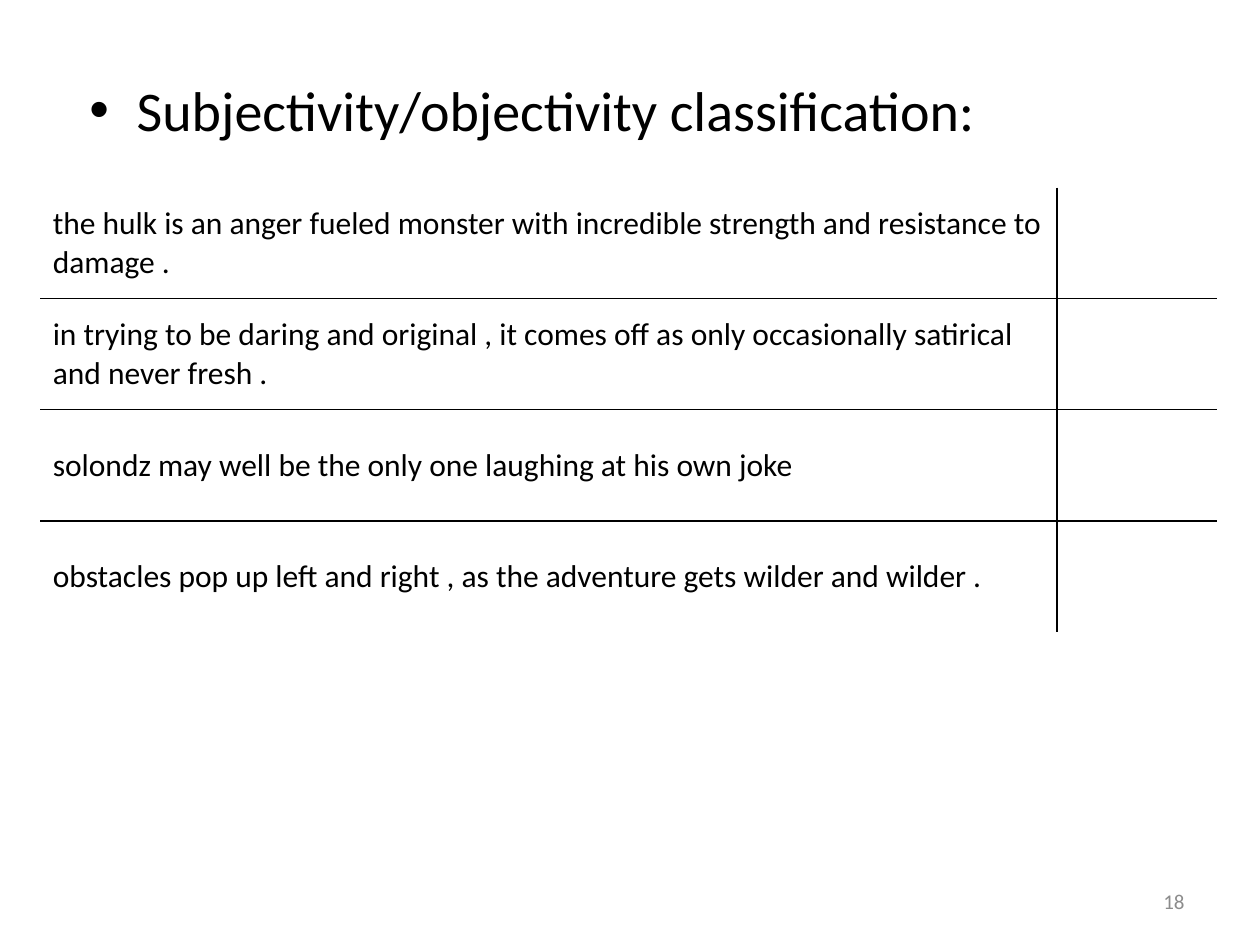
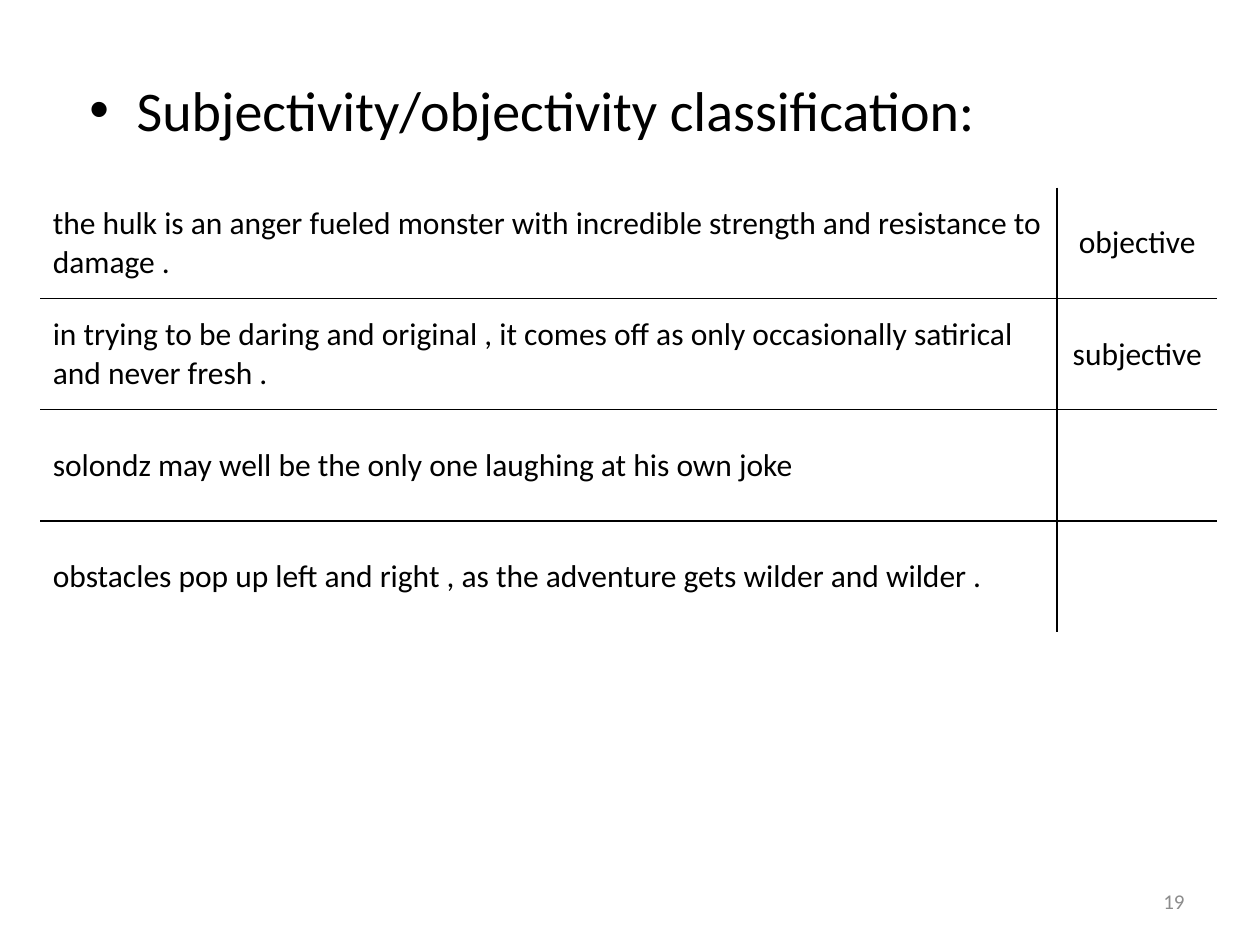
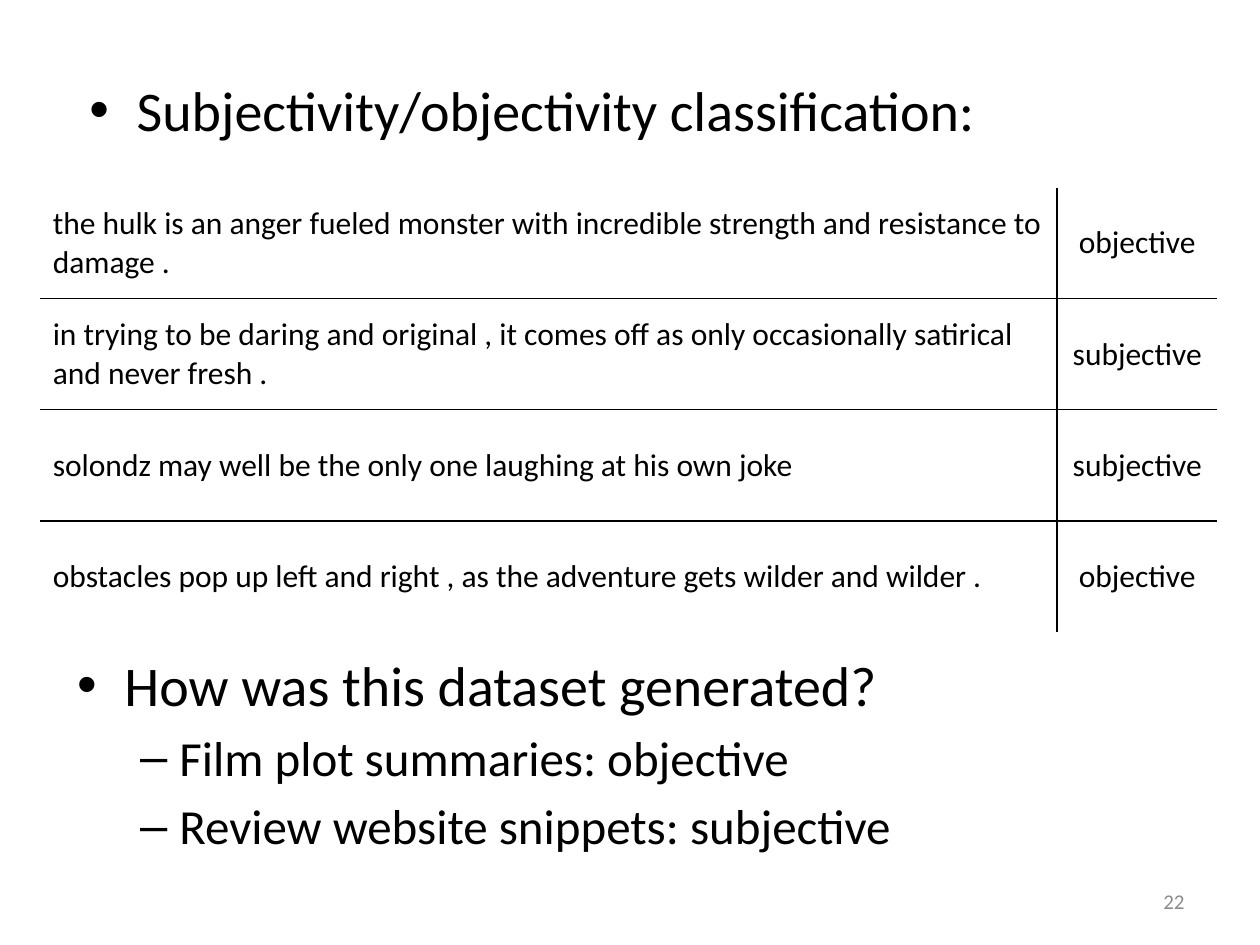
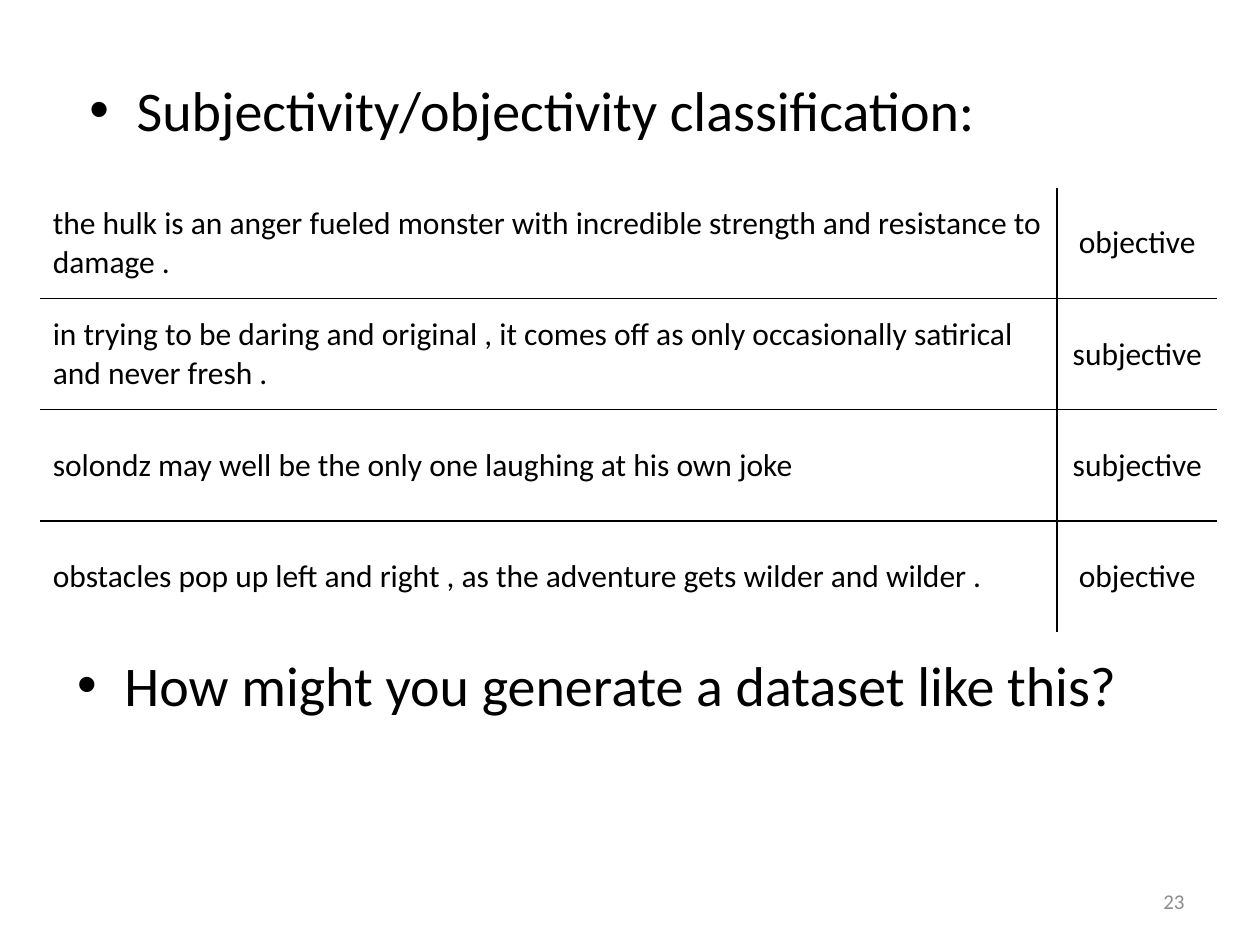
"""Build four slides on subjectivity and objectivity classification."""
from lxml import etree
from pptx import Presentation
from pptx.dml.color import RGBColor
from pptx.enum import text
from pptx.oxml import ns
from pptx.util import Cm, Pt

HEAD = "Subjectivity/objectivity classification:"
LINES = [
    "the hulk is an anger fueled monster with incredible strength and resistance to damage .",
    "in trying to be daring and original , it comes off as only occasionally satirical and never fresh .",
    "solondz may well be the only one laughing at his own joke",
    "obstacles pop up left and right , as the adventure gets wilder and wilder .",
]
TAGS = ["objective", "subjective", "subjective", "objective"]
SLIDES = [
    {"num": "18", "shown": 0, "list": []},
    {"num": "19", "shown": 2, "list": []},
    {"num": "22", "shown": 4, "list": [
        (0, "How was this dataset generated?"),
        (1, "Film plot summaries: objective"),
        (1, "Review website snippets: subjective"),
    ]},
    {"num": "23", "shown": 4, "list": [
        (0, "How might you generate a dataset like this?"),
    ]},
]

FONT = "Calibri"
BLACK = RGBColor(0x00, 0x00, 0x00)
GREY = RGBColor(0x8C, 0x8C, 0x8C)
SIZES = [32, 28]
COLS = [20.5, 3.23]
ROW = 2.24
PLAIN = "{2D5ABB26-0587-4C30-8999-92F81FD0307C}"


def style(para, size, color=BLACK):
    para.font.name = FONT
    para.font.size = Pt(size)
    para.font.color.rgb = color


def place(shape, left, top, width, height):
    shape.left, shape.top = Cm(left), Cm(top)
    shape.width, shape.height = Cm(width), Cm(height)


def add_head(slide):
    title = slide.shapes.title
    place(title, 1.55, 1.4, 22.86, 2.41)
    frame = title.text_frame
    frame.text = HEAD
    frame.vertical_anchor = text.MSO_ANCHOR.TOP
    para = frame.paragraphs[0]
    para.alignment = text.PP_ALIGN.LEFT
    para.space_before = Pt(0)
    props = para._p.get_or_add_pPr()
    props.set("marL", str(Cm(0.95)))
    props.set("indent", str(-Cm(0.95)))
    etree.SubElement(props, ns.qn("a:buFont"), typeface="Arial")
    etree.SubElement(props, ns.qn("a:buChar"), char="•")
    style(para, SIZES[0])


def add_list(slide, items):
    body = slide.placeholders[1]
    if not items:
        body.element.getparent().remove(body.element)
        return
    place(body, 1.3, 12.98, 22.86, 4.22)
    frame = body.text_frame
    frame.text = "\n".join(line for _, line in items)
    frame.paragraphs[0].space_before = Pt(0)
    for para, (level, _) in zip(frame.paragraphs, items):
        para.level = level
        style(para, SIZES[level])


def rule(cell, sides):
    props = cell._tc.get_or_add_tcPr()
    for spot, side in enumerate(sides):
        line = etree.Element(ns.qn("a:ln" + side), w=str(Pt(1)))
        fill = etree.SubElement(line, ns.qn("a:solidFill"))
        etree.SubElement(fill, ns.qn("a:srgbClr"), val=str(BLACK))
        props.insert(spot, line)


def add_grid(slide, shown):
    count = len(LINES)
    frame = slide.shapes.add_table(
        count, 2, Cm(0.81), Cm(3.78), Cm(sum(COLS)), Cm(ROW * count))
    grid = frame.table
    grid.first_row = grid.horz_banding = False
    grid._tbl.tblPr.find(ns.qn("a:tableStyleId")).text = PLAIN
    for col, width in zip(grid.columns, COLS):
        col.width = Cm(width)
    tags = TAGS[:shown] + [""] * (count - shown)
    for r, pair in enumerate(zip(LINES, tags)):
        grid.rows[r].height = Cm(ROW)
        for c, words in enumerate(pair):
            cell = grid.cell(r, c)
            cell.text = words
            cell.vertical_anchor = text.MSO_ANCHOR.MIDDLE
            cell.fill.background()
            para = cell.text_frame.paragraphs[0]
            para.alignment = text.PP_ALIGN.CENTER if c else text.PP_ALIGN.LEFT
            style(para, 18)
            sides = ["L" if c else "R"]
            if r > 0:
                sides.append("T")
            if r < count - 1:
                sides.append("B")
            rule(cell, sides)


def add_num(slide, num):
    box = slide.shapes.add_textbox(Cm(18.21), Cm(17.65), Cm(5.92), Cm(1.02))
    frame = box.text_frame
    frame.word_wrap = True
    frame.vertical_anchor = text.MSO_ANCHOR.MIDDLE
    frame.text = num
    para = frame.paragraphs[0]
    para.alignment = text.PP_ALIGN.RIGHT
    style(para, 12, GREY)


def main():
    deck = Presentation()
    deck.slide_width, deck.slide_height = Cm(25.4), Cm(19.05)
    for item in SLIDES:
        slide = deck.slides.add_slide(deck.slide_layouts[1])
        add_num(slide, item["num"])
        add_head(slide)
        add_grid(slide, item["shown"])
        add_list(slide, item["list"])
    deck.save("out.pptx")


if __name__ == "__main__":
    main()
